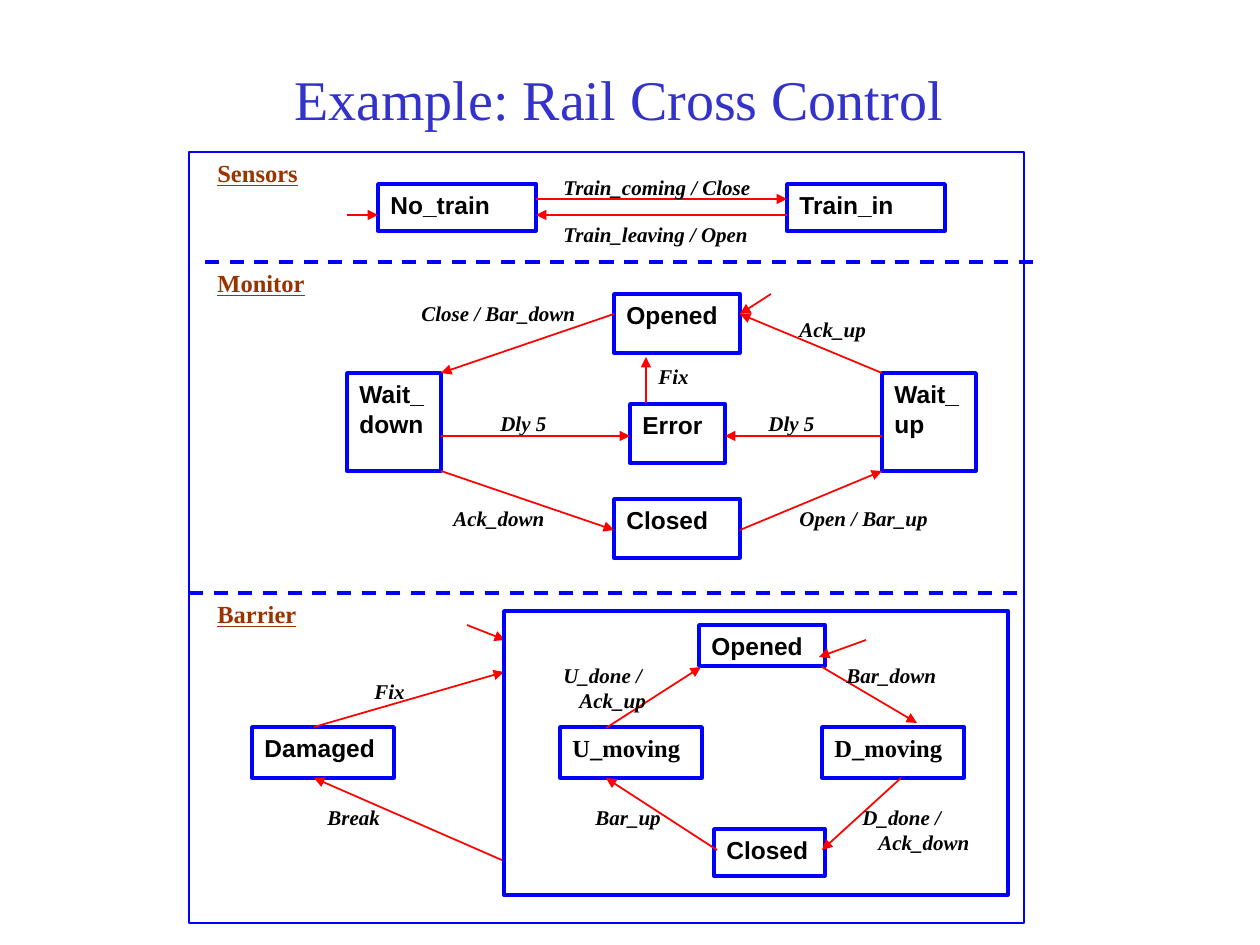
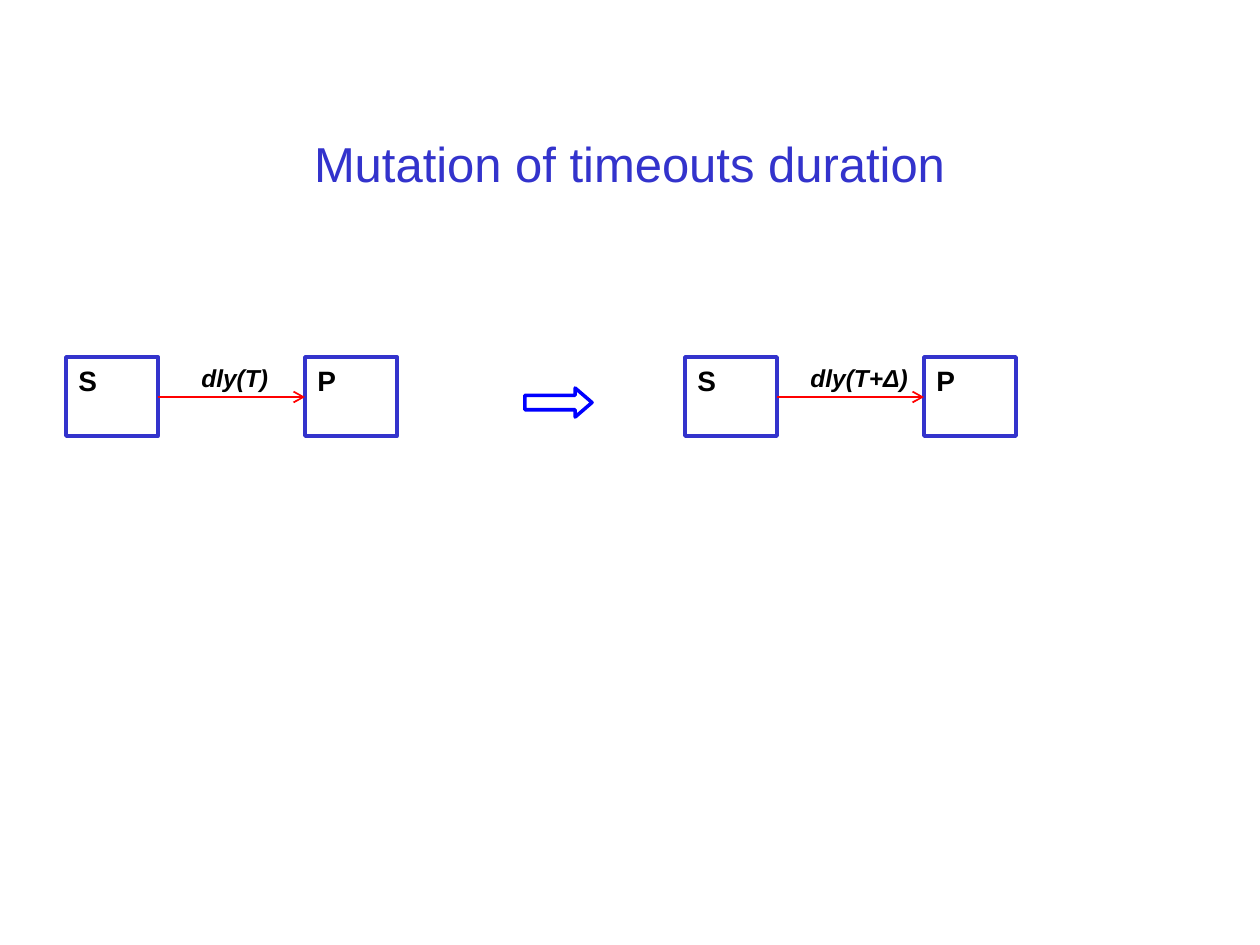
"""Two slides on a rail crossing controller: its statecharts and a timeout mutation."""
import pptx
import pptx.dml.color
import pptx.enum.dml
import pptx.enum.shapes
import pptx.enum.text
import pptx.oxml.ns
import pptx.util
import lxml.etree

PIXEL = 914400 / 126
SHAPE = pptx.enum.shapes.MSO_SHAPE
THEME = {
    "white": "FFFFFF",
    "blue": "0000FF",
    "indigo": "3333CC",
    "red": "FF0000",
    "thick": 2,
    "frame": 1.5,
    "thin": 1,
    "chart title": {"name": "Times New Roman", "size": 32, "color": "3333CC"},
    "plain title": {"name": "Arial", "size": 28, "color": "3333CC"},
    "heading": {"name": "Times New Roman", "size": 14, "color": "993300",
                "bold": True, "underline": True},
    "state": {"name": "Arial", "size": 14, "color": "000000", "bold": True},
    "moving": {"name": "Times New Roman", "size": 14, "color": "000000", "bold": True},
    "event": {"name": "Times New Roman", "size": 12, "color": "000000",
              "bold": True, "italic": True},
    "large state": {"name": "Arial", "size": 16, "color": "000000", "bold": True},
    "delay": {"name": "Arial", "size": 14, "color": "000000",
              "bold": True, "italic": True},
}
SECOND_LINE_INDENT = 16


def add_item(shapes, kind, place, line=None, fill=None, text="", style="state"):
    """Add or place a box, text box or title; kind is a preset, "text" or a placeholder."""
    left, top, width, height = [round(value * PIXEL) for value in place]
    if kind == "text":
        box = shapes.add_textbox(left, top, width, height)
    elif hasattr(kind, "text_frame"):
        box = kind
        box.left, box.top, box.width, box.height = left, top, width, height
    else:
        box = shapes.add_shape(kind, left, top, width, height)
        box.shadow.inherit = False
        if fill:
            box.fill.solid()
            box.fill.fore_color.rgb = pptx.dml.color.RGBColor.from_string(fill)
        else:
            box.fill.background()
        color, weight = line
        box.line.color.rgb = pptx.dml.color.RGBColor.from_string(color)
        box.line.width = pptx.util.Pt(weight)
    if not text:
        return box
    frame = box.text_frame
    frame.word_wrap = True
    frame.auto_size = pptx.enum.text.MSO_AUTO_SIZE.NONE
    frame.vertical_anchor = pptx.enum.text.MSO_ANCHOR.TOP
    for number, words in enumerate(text.split("\n")):
        para = frame.add_paragraph() if number else frame.paragraphs[0]
        para.alignment = pptx.enum.text.PP_ALIGN.LEFT
        if number and style == "event":
            para._p.get_or_add_pPr().set("marL", str(round(SECOND_LINE_INDENT * PIXEL)))
        span = para.add_run()
        span.text = words
        for key, value in THEME[style].items():
            if key == "color":
                span.font.color.rgb = pptx.dml.color.RGBColor.from_string(value)
            else:
                setattr(span.font, key, pptx.util.Pt(value) if key == "size" else value)
    return box


def add_line(shapes, ends, color, weight, tip=None, dash=None):
    """Add a straight line, with an arrowhead at its end or dashes when asked."""
    points = [round(value * PIXEL) for value in ends]
    connector = shapes.add_connector(pptx.enum.shapes.MSO_CONNECTOR.STRAIGHT, *points)
    connector.line.color.rgb = pptx.dml.color.RGBColor.from_string(color)
    connector.line.width = pptx.util.Pt(weight)
    if dash:
        connector.line.dash_style = dash
    properties = connector._element.spPr
    if tip:
        outline = properties.find(pptx.oxml.ns.qn("a:ln"))
        lxml.etree.SubElement(outline, pptx.oxml.ns.qn("a:tailEnd"), type=tip)
    lxml.etree.SubElement(properties, pptx.oxml.ns.qn("a:effectLst"))


deck = pptx.Presentation()
deck.slide_width = pptx.util.Inches(10)
deck.slide_height = pptx.util.Inches(7.5)
title_only = deck.slide_layouts[5]

# Each slide has a centred title in its own type style.
pages = []
for text, place, style, anchor in [
    ("Example: Rail Cross Control", (73, 53, 1092, 787), "chart title", "TOP"),
    ("Mutation of timeouts duration", (94, 84, 1071, 158), "plain title", "MIDDLE"),
]:
    page = deck.slides.add_slide(title_only)
    title = add_item(page.shapes, page.shapes.title, place, text=text, style=style)
    title.text_frame.vertical_anchor = getattr(pptx.enum.text.MSO_ANCHOR, anchor)
    title.text_frame.paragraphs[0].alignment = pptx.enum.text.PP_ALIGN.CENTER
    pages.append(page)
statechart, mutation = pages
statechart.shapes.title.text_frame.margin_top = round(12 * PIXEL)

# Slide 1: three parallel statecharts in one frame.
chart = statechart.shapes.add_group_shape().shapes
blue_outline = (THEME["blue"], THEME["thick"])

states = [
    # Sensors
    ("No_train", (378, 184, 158, 47), "state"),
    ("Train_in", (787, 184, 158, 47), "state"),
    # Monitor
    ("Opened", (614, 294, 126, 59), "state"),
    ("Wait_\ndown", (347, 373, 94, 98), "state"),
    ("Closed", (614, 499, 126, 59), "state"),
    ("Error", (630, 404, 95, 59), "state"),
    ("Wait_\nup", (882, 373, 94, 98), "state"),
    # Barrier
    ("Damaged", (252, 727, 142, 51), "state"),
    ("U_moving", (560, 727, 142, 51), "moving"),
    ("Opened", (699, 625, 126, 41), "state"),
    ("D_moving", (822, 727, 142, 51), "moving"),
    ("Closed", (714, 829, 111, 47), "state"),
]
for text, place, style in states:
    add_item(chart, SHAPE.RECTANGLE, place, blue_outline, THEME["white"], text, style)

for left, right, height in [(205, 1039, 262), (189, 1024, 593)]:
    add_line(chart, (left, height, right, height), *blue_outline,
             dash=pptx.enum.dml.MSO_LINE.DASH)

transitions = [
    # Sensors
    (347, 215, 378, 215),
    (787, 215, 536, 215),
    (536, 199, 787, 199),
    # Monitor
    (614, 314, 441, 373),
    (441, 471, 614, 530),
    (740, 530, 882, 471),
    (882, 373, 740, 314),
    (771, 294, 740, 314),
    (646, 403, 646, 357),
    (441, 436, 630, 436),
    (882, 436, 725, 436),
    # Barrier
    (504, 861, 314, 778),
    (314, 727, 504, 672),
    (467, 625, 505, 640),
    (717, 850, 606, 778),
    (901, 778, 822, 850),
    (822, 667, 917, 723),
    (606, 728, 701, 667),
    (866, 640, 819, 657),
]
for ends in transitions:
    add_line(chart, ends, THEME["red"], THEME["thin"], tip="triangle")

for text, top in [("Sensors", 152), ("Monitor", 262), ("Barrier", 593)]:
    add_item(chart, "text", (205, top, 126, 47), text=text, style="heading")

events = [
    # Sensors
    ("Train_coming / Close", 551, 168, 220, 47),
    ("Train_leaving / Open", 551, 215, 220, 47),
    # Monitor
    ("Close / Bar_down", 409, 294, 183, 47),
    ("Open / Bar_up", 787, 499, 183, 47),
    ("Ack_down", 441, 499, 126, 47),
    ("Ack_up", 787, 310, 95, 47),
    ("Fix", 646, 357, 79, 47),
    ("Dly 5", 488, 404, 110, 47),
    ("Dly 5", 756, 404, 110, 47),
    # Barrier
    ("Break", 315, 798, 110, 47),
    ("Fix", 362, 672, 110, 47),
    ("Bar_down", 834, 656, 126, 47),
    ("Bar_up", 583, 798, 110, 47),
    ("D_done /\nAck_down", 850, 798, 142, 63),
    ("U_done /\nAck_up", 551, 656, 142, 63),
]
for text, *place in events:
    add_item(chart, "text", place, text=text, style="event")

add_item(chart, SHAPE.RECTANGLE, (504, 611, 504, 284), blue_outline)
add_item(chart, SHAPE.RECTANGLE, (189, 152, 835, 771), (THEME["blue"], THEME["frame"]))

# Slide 2: the same transition before and after its delay changes.
for left, label_left, label in [(66, 189, "dly(T)"), (685, 798, "dly(T+Δ)")]:
    for text, shift in [("S", 0), ("P", 239)]:
        add_item(mutation.shapes, SHAPE.RECTANGLE, (left + shift, 357, 92, 79),
                 (THEME["indigo"], THEME["thick"]), THEME["white"], text, "large state")
    add_item(mutation.shapes, "text", (label_left, 357, 136, 47), text=label, style="delay")
    add_line(mutation.shapes, (left + 92, 397, left + 239, 397),
             THEME["red"], THEME["thin"], tip="arrow")

becomes = add_item(mutation.shapes, SHAPE.RIGHT_ARROW, (525, 388, 67, 29), blue_outline)
becomes.adjustments[0] = 0.5
becomes.adjustments[1] = 0.58

deck.save("out.pptx")
